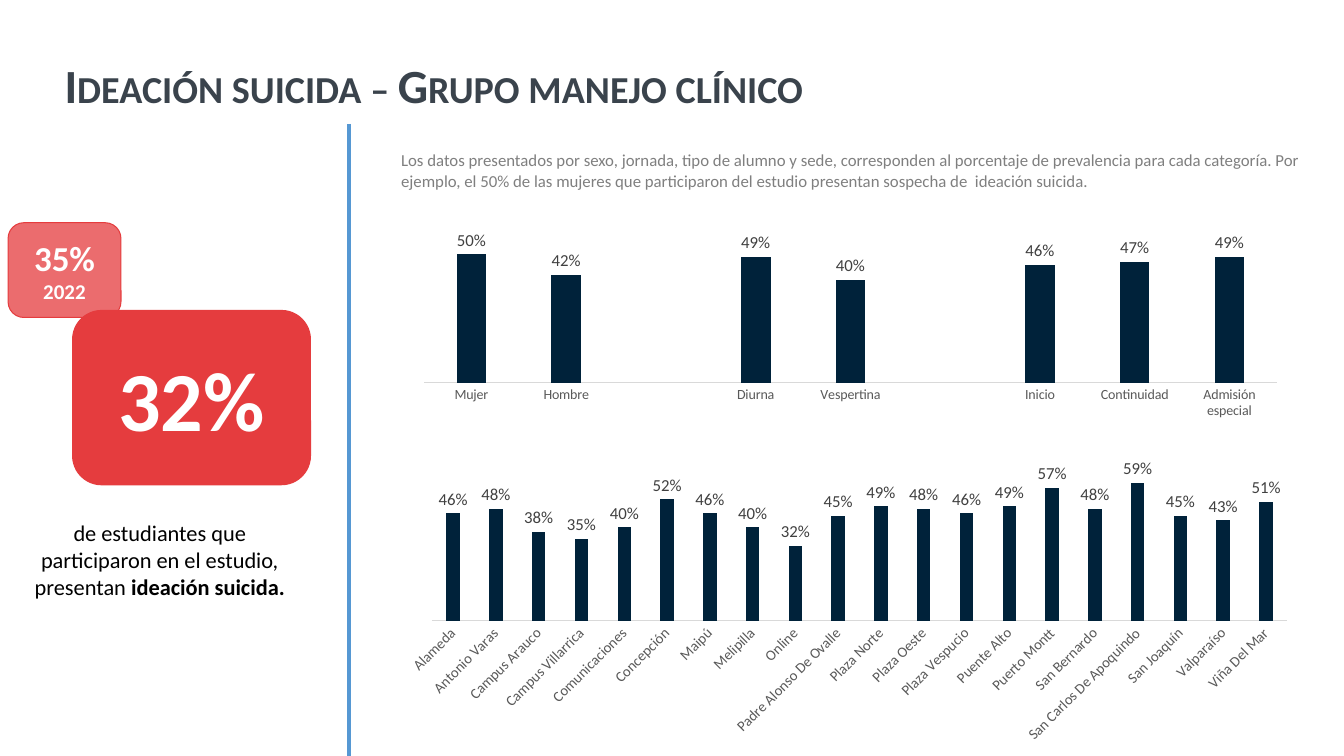
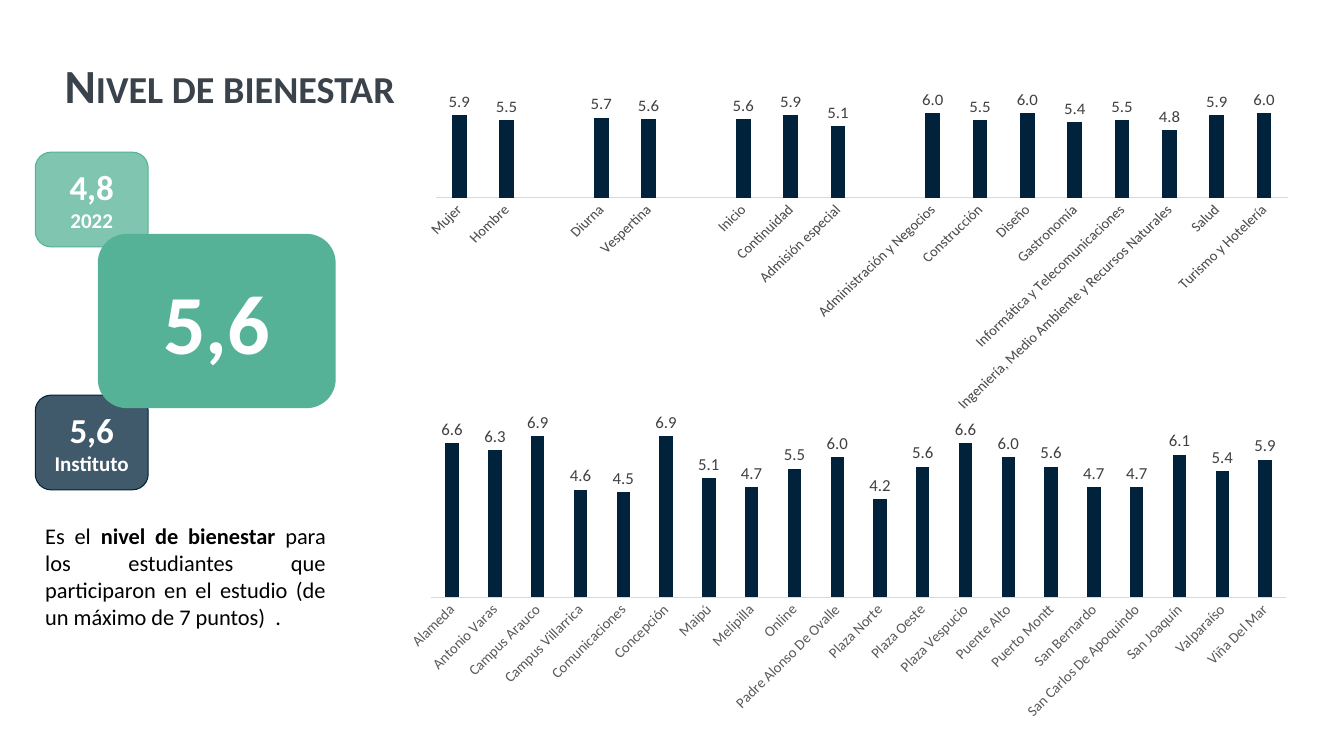
from pptx import Presentation
from pptx import util as u
from pptx.chart import data
from pptx.dml.color import RGBColor
from pptx.enum import chart as ch, shapes, text
from pptx.oxml import parse_xml
from pptx.oxml.ns import nsdecls, qn

NAVY, RED, GREEN, BLUE = "00223A", "E53C3E", "55B296", "5698D3"
TITLE, GRAY, AXIS_TEXT, LABEL_TEXT, AXIS_LINE = "3A434C", "7F7F7F", "595959", "404040", "D9D9D9"
WHITE, BLACK = "FFFFFF", "000000"
FONT = "Calibri"
LEFT, CENTER, JUSTIFY = text.PP_ALIGN.LEFT, text.PP_ALIGN.CENTER, text.PP_ALIGN.JUSTIFY

GROUPS = ["Mujer", "Hombre", "", "Diurna", "Vespertina", "", "Inicio", "Continuidad",
          "Admisión especial"]
SCHOOLS = ["Administración y Negocios", "Construcción", "Diseño", "Gastronomía",
           "Informática y Telecomunicaciones",
           "Ingeniería, Medio Ambiente y Recursos Naturales", "Salud", "Turismo y Hotelería"]
CAMPUSES = ["Alameda", "Antonio Varas", "Campus Arauco", "Campus Villarrica", "Comunicaciones",
            "Concepción", "Maipú", "Melipilla", "Online", "Padre Alonso De Ovalle",
            "Plaza Norte", "Plaza Oeste", "Plaza Vespucio", "Puente Alto", "Puerto Montt",
            "San Bernardo", "San Carlos De Apoquindo", "San Joaquín", "Valparaíso",
            "Viña Del Mar"]


def rgb(color):
    return RGBColor.from_string(color)


def box(*lengths):
    return [u.Inches(n) for n in lengths]


def style(font, size, color, bold=False):
    font.name, font.size, font.bold = FONT, u.Pt(size), bold
    font.color.rgb = rgb(color)


def add_run(p, words, size, color, bold=False):
    r = p.add_run()
    r.text = words
    style(r.font, size, color, bold)
    return r


class Deck:
    def __init__(self):
        self.prs = Presentation()
        self.prs.slide_width, self.prs.slide_height = box(13.33, 7.5)
        self.s = None

    def slide(self, title):
        self.s = self.prs.slides.add_slide(self.prs.slide_layouts[5])
        sp = self.s.shapes.title
        sp.left, sp.top, sp.width, sp.height = box(0.54, 0.4, 12.73, 0.94)
        tf = sp.text_frame
        tf.auto_size = text.MSO_AUTO_SIZE.NONE
        tf.vertical_anchor = text.MSO_ANCHOR.MIDDLE
        p = tf.paragraphs[0]
        p.alignment, p.line_spacing = LEFT, 0.9
        r = add_run(p, title, 34, TITLE, True)
        r.font._element.set("cap", "small")

    def note(self, at, runs, size=16, color=BLACK, align=LEFT):
        """Text box; runs holds (words, bold) pairs."""
        tf = self.s.shapes.add_textbox(*box(*at)).text_frame
        tf.word_wrap = True
        p = tf.paragraphs[0]
        p.alignment = align
        for words, bold in runs:
            add_run(p, words, size, color, bold)

    def card(self, at, lines, color, alpha=None, outline=True):
        """Rounded card; lines holds (words, size) pairs, alpha is in percent."""
        sp = self.s.shapes.add_shape(shapes.MSO_SHAPE.ROUNDED_RECTANGLE, *box(*at))
        sp.shadow.inherit = False
        sp.fill.solid()
        sp.fill.fore_color.rgb = rgb(color)
        if alpha:
            clr = sp._element.spPr.find(qn("a:solidFill"))[0]
            clr.append(parse_xml(f'<a:alpha {nsdecls("a")} val="{alpha * 1000}"/>'))
        if outline:
            sp.line.color.rgb = rgb(color)
            sp.line.width = u.Pt(0.75)
        else:
            sp.line.fill.background()
        tf = sp.text_frame
        tf.word_wrap = True
        tf.vertical_anchor = text.MSO_ANCHOR.MIDDLE
        for i, (words, size) in enumerate(lines):
            p = tf.add_paragraph() if i else tf.paragraphs[0]
            p.alignment = CENTER
            add_run(p, words, size, WHITE, True)

    def big_card(self, left, top, value, color, outline=True):
        self.card((left, top, 2.36, 1.73), [(value, 60)], color, outline=outline)

    def small_card(self, left, top, value, label, color):
        self.card((left, top, 1.12, 0.94), [(value, 25), (label, 15)], color, alpha=75)

    def divider(self, x, top, bottom):
        ln = self.s.shapes.add_connector(shapes.MSO_CONNECTOR.STRAIGHT,
                                         *box(x, top, x, bottom))
        ln.line.color.rgb = rgb(BLUE)
        ln.line.width = u.Pt(3)
        ln._element.spPr.append(parse_xml(f'<a:effectLst {nsdecls("a")}/>'))

    def columns(self, at, cats, vals, fmt, top, size=10.5, angle=-45):
        """Column chart with value labels; top is the maximum of the hidden axis."""
        cd = data.CategoryChartData(number_format=fmt)
        cd.categories = cats
        cd.add_series("Series 1", vals)
        chart = self.s.shapes.add_chart(ch.XL_CHART_TYPE.COLUMN_CLUSTERED, *box(*at), cd).chart
        chart.has_legend = chart.has_title = False
        chart.font.name, chart.font.size = "Arial", u.Pt(10)

        val = chart.value_axis
        val.minimum_scale, val.maximum_scale = 0, top
        val.has_major_gridlines = val.visible = False

        cat = chart.category_axis
        cat.major_tick_mark = ch.XL_TICK_MARK.NONE
        cat.format.line.color.rgb = rgb(AXIS_LINE)
        cat.format.line.width = u.Pt(0.75)
        style(cat.tick_labels.font, size, AXIS_TEXT)
        cat._element.find(qn("c:txPr")).find(qn("a:bodyPr")).set("rot", str(angle * 60000))

        plot = chart.plots[0]
        plot.gap_width, plot.overlap, plot.vary_by_categories = 219, -27, False
        fill = plot.series[0].format.fill
        fill.solid()
        fill.fore_color.rgb = rgb(NAVY)
        plot.has_data_labels = True
        labels = plot.data_labels
        labels.show_value = True
        labels.position = ch.XL_LABEL_POSITION.OUTSIDE_END
        labels.number_format, labels.number_format_is_linked = fmt, False
        style(labels.font, 12, LABEL_TEXT)


def ideation_slide(d):
    d.slide("Ideación suicida – Grupo manejo clínico")
    d.columns((3.88, 4.48, 9.07, 2.96), CAMPUSES,
              [0.46, 0.48, 0.38, 0.35, 0.4, 0.52, 0.46, 0.4, 0.32, 0.45,
               0.49, 0.48, 0.46, 0.49, 0.57, 0.48, 0.59, 0.45, 0.43, 0.51], "0%", 0.7)
    d.note((3.88, 1.44, 9.26, 0.5),
           [("Los datos presentados por sexo, jornada, tipo de alumno y sede, corresponden al "
             "porcentaje de prevalencia para cada categoría. Por ejemplo, el 50% de las mujeres "
             "que participaron del estudio presentan sospecha de  ideación suicida.", False)],
           size=12, color=GRAY)
    d.columns((4.03, 2.23, 8.81, 1.96), GROUPS,
              [0.5, 0.42, None, 0.49, 0.4, None, 0.46, 0.47, 0.49], "0%", 0.6,
              size=10, angle=0)
    d.divider(3.46, 1.23, 7.5)
    d.big_card(0.72, 3.08, "32%", RED)
    d.note((0.08, 5.1, 3.01, 0.91),
           [("de estudiantes que participaron en el estudio, presentan", False),
            (" ideación suicida.", True)], align=CENTER)
    d.small_card(0.08, 2.21, "35%", "2022", RED)


def wellbeing_slide(d):
    d.slide("Nivel de bienestar")
    d.columns((3.87, 4.01, 9.07, 3.2), CAMPUSES,
              [6.6, 6.3, 6.9, 4.6, 4.5, 6.9, 5.1, 4.7, 5.5, 6,
               4.2, 5.6, 6.6, 6, 5.6, 4.7, 4.7, 6.1, 5.4, 5.9], "0.0", 8)
    d.columns((4.06, 0.9, 8.89, 3.19), GROUPS + [""] + SCHOOLS,
              [5.9, 5.5, None, 5.7, 5.6, None, 5.6, 5.9, 5.1, None,
               6, 5.5, 6, 5.4, 5.5, 4.8, 5.9, 6], "0.0", 7)
    d.note((0.35, 5.13, 2.98, 1.18),
           [("Es el ", False), ("nivel de bienestar", True),
            (" para los estudiantes que participaron en el estudio "
             "(de un máximo de 7 puntos)  .", False)], align=JUSTIFY)
    d.small_card(0.35, 1.51, "4,8", "2022", GREEN)
    d.small_card(0.35, 3.92, "5,6", "Instituto", NAVY)
    d.big_card(0.97, 2.32, "5,6", GREEN, outline=False)


def main():
    d = Deck()
    ideation_slide(d)
    wellbeing_slide(d)
    d.prs.save("out.pptx")


if __name__ == "__main__":
    main()
